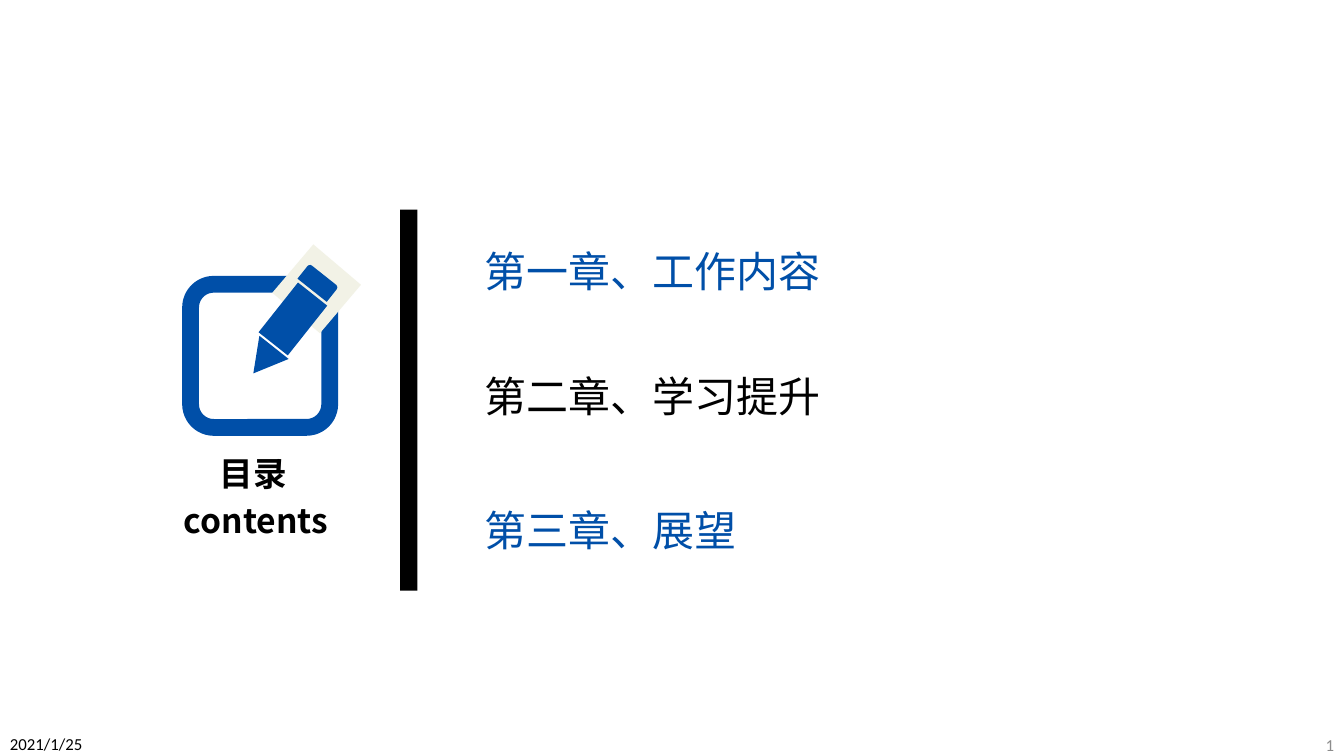
from dataclasses import dataclass

from lxml import etree
from pptx import Presentation, util as u
from pptx.dml.color import RGBColor
from pptx.enum import shapes, text
from pptx.oxml import ns

PX = 9144  # EMU per px, 100 px to the inch
COLORS = {"blue": "004FA8", "black": "000000", "cream": "F2F2E6", "grey": "8C8C8C"}
CJK_FONT = "Noto Sans CJK SC"
Shape = shapes.MSO_SHAPE
Align = text.PP_ALIGN


@dataclass(frozen=True)
class Box:
    left: int
    top: int
    width: int
    height: int

    def emu(self) -> list[u.Emu]:
        return [u.Emu(v * PX) for v in (self.left, self.top, self.width, self.height)]


@dataclass(frozen=True)
class Part:
    kind: Shape
    box: Box
    color: str
    rotation: float = 0
    outline: float = 0  # points; an outlined part has no fill


@dataclass(frozen=True)
class Chapter:
    label: str
    box: Box
    color: str


def rgb(name: str) -> RGBColor:
    return RGBColor.from_string(COLORS[name])


def draw_part(container, part: Part) -> None:
    shape = container.add_shape(part.kind, *part.box.emu())
    shape.rotation = part.rotation
    shape.shadow.inherit = False
    if part.outline:
        shape.fill.background()
        shape.line.color.rgb = rgb(part.color)
        shape.line.width = u.Pt(part.outline)
    else:
        shape.fill.solid()
        shape.fill.fore_color.rgb = rgb(part.color)
        shape.line.fill.background()


def write(holder, content: str, *, size: int, color: str = "black",
          font: str = CJK_FONT, bold: bool = False, align: Align = Align.LEFT,
          anchor=text.MSO_ANCHOR.TOP, grow: bool = True) -> None:
    frame = holder.text_frame
    frame.word_wrap = True
    frame.vertical_anchor = anchor
    frame.auto_size = (text.MSO_AUTO_SIZE.SHAPE_TO_FIT_TEXT if grow
                       else text.MSO_AUTO_SIZE.NONE)
    paragraph = frame.paragraphs[0]
    paragraph.alignment = align
    run = paragraph.add_run()
    run.text = content
    run.font.size = u.Pt(size)
    run.font.bold = bold
    run.font.color.rgb = rgb(color)
    run.font.name = font
    # Chinese glyphs take their face from a:ea
    east_asian = etree.SubElement(run._r.get_or_add_rPr(), ns.qn("a:ea"))
    east_asian.set("typeface", font)


PENCIL_ICON = [
    Part(Shape.ROUNDED_RECTANGLE, Box(189, 282, 138, 142), "blue", outline=12),
    Part(Shape.RECTANGLE, Box(283, 255, 62, 63), "cream", 40.3),
    Part(Shape.ROUND_2_SAME_RECTANGLE, Box(297, 271, 37, 19), "blue", 38.4),
    Part(Shape.RECTANGLE, Box(272, 285, 37, 63), "blue", 38.4),
    Part(Shape.ISOSCELES_TRIANGLE, Box(243, 341, 37, 33), "blue", 218.4),
]
DIVIDER = Part(Shape.RECTANGLE, Box(397, 208, 17, 378), "black")
CHAPTERS = [
    Chapter("第一章、工作内容", Box(471, 239, 717, 61), "blue"),
    Chapter("第二章、学习提升", Box(471, 363, 693, 61), "black"),
    Chapter("第三章、展望", Box(471, 496, 717, 61), "blue"),
]


def main() -> None:
    deck = Presentation()
    deck.slide_width, deck.slide_height = u.Emu(1333 * PX), u.Emu(750 * PX)
    slide = deck.slides.add_slide(deck.slide_layouts.get_by_name("Title Only"))

    def add_text(box: Box, content: str, **style) -> None:
        write(slide.shapes.add_textbox(*box.emu()), content, **style)

    # Heading with its icon
    icon = slide.shapes.add_group_shape()
    for part in PENCIL_ICON:
        draw_part(icon.shapes, part)
    heading = slide.shapes.title
    heading.left, heading.top, heading.width, heading.height = Box(182, 444, 138, 50).emu()
    heading_style = dict(size=24, bold=True, align=Align.CENTER)
    write(heading, "目录", **heading_style)
    add_text(Box(155, 491, 198, 50), "contents", **heading_style)

    # Chapter list
    draw_part(slide.shapes, DIVIDER)
    for chapter in CHAPTERS:
        add_text(chapter.box, chapter.label, size=30, color=chapter.color)

    # Date and page number
    footer_style = dict(size=12, font="Calibri", anchor=text.MSO_ANCHOR.MIDDLE, grow=False)
    add_text(Box(0, 725, 96, 25), "2021/1/25", **footer_style)
    add_text(Box(1249, 728, 84, 22), "1", color="grey", align=Align.RIGHT, **footer_style)

    deck.save("out.pptx")


if __name__ == "__main__":
    main()
